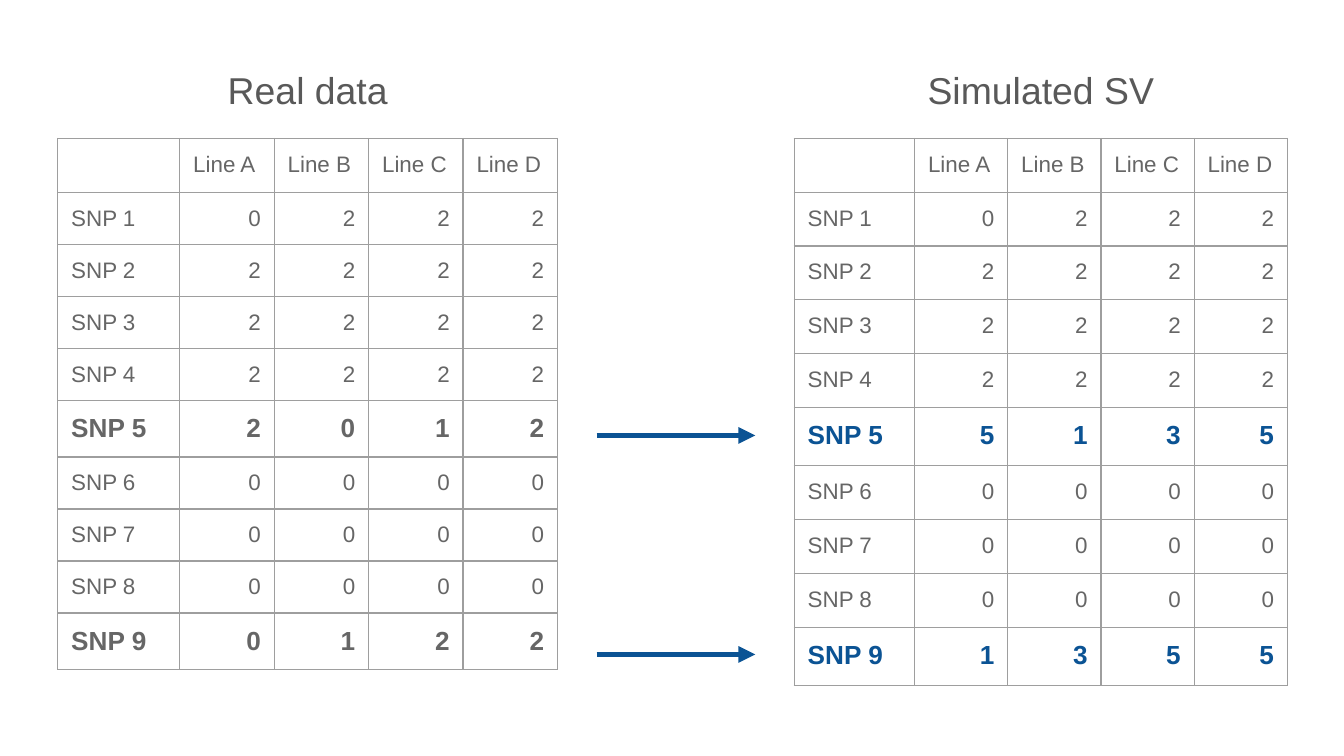
from lxml import etree
from pptx import Presentation, util as u
from pptx.dml.color import RGBColor
from pptx.enum import shapes, text
from pptx.oxml import ns

GREY, BLUE, BORDER, TITLE = "666666", "0B5394", "9E9E9E", "595959"
MARKED_ROWS = (5, 9)
LABEL_SHARE = 0.244  # label column's share of a table's width
TITLE_TOP, TITLE_HEIGHT = 0.23, 0.63
TABLE_TOP, HEAD_HEIGHT, ROW_HEIGHT = 1.03, 0.36, 0.33
FRAME_SIDE = 3.28  # nominal table frame, which the cells outgrow

real = ["0222", "2222", "2222", "2222", "2012", "0000", "0000", "0000", "0122"]
simulated = real[:4] + ["5135"] + real[5:8] + ["1355"]
panels = [
    ("Real data", 0.43, 3.72, real, GREY),
    ("Simulated SV", 5.91, 3.67, simulated, BLUE),
]


def add_run(paragraph, words, size, color, bold=False):
    run = paragraph.add_run()
    run.text = words
    run.font.name = "Arial"
    run.font.size = u.Pt(size)
    run.font.bold = bold
    run.font.color.rgb = RGBColor.from_string(color)


def add_borders(cell):
    properties = cell._tc.get_or_add_tcPr()
    for position, side in enumerate(("lnL", "lnR", "lnT", "lnB")):
        line = etree.Element(ns.qn(f"a:{side}"), w=str(u.Pt(0.75)))
        fill = etree.SubElement(line, ns.qn("a:solidFill"))
        etree.SubElement(fill, ns.qn("a:srgbClr"), val=BORDER)
        properties.insert(position, line)


prs = Presentation()
prs.slide_width = u.Inches(10)
prs.slide_height = prs.slide_width * 9 // 16
slide = prs.slides.add_slide(prs.slide_layouts[6])

# Genotype tables with their titles
for title, left, width, genotypes, mark_color in panels:
    rows = [["", "Line A", "Line B", "Line C", "Line D"]]
    rows += [[f"SNP {number}", *calls] for number, calls in enumerate(genotypes, 1)]
    table_frame = slide.shapes.add_table(
        len(rows), len(rows[0]), u.Inches(left), u.Inches(TABLE_TOP),
        u.Inches(FRAME_SIDE), u.Inches(FRAME_SIDE))
    table = table_frame.table
    table.first_row = table.horz_banding = False

    for c, column in enumerate(table.columns):
        share = (1 - LABEL_SHARE) / (len(rows[0]) - 1) if c else LABEL_SHARE
        column.width = u.Inches(width * share)

    for r, row in enumerate(rows):
        table.rows[r].height = u.Inches(HEAD_HEIGHT if r < 2 else ROW_HEIGHT)
        marked = r in MARKED_ROWS
        for c, value in enumerate(row):
            cell = table.cell(r, c)
            cell.fill.background()
            cell.margin_left = cell.margin_right = u.Inches(0.1)
            cell.margin_top = cell.margin_bottom = u.Inches(0.1)
            add_borders(cell)
            paragraph = cell.text_frame.paragraphs[0]
            if r and c:
                paragraph.alignment = text.PP_ALIGN.RIGHT
            if value:
                add_run(paragraph, value, 14 if marked else 12,
                        mark_color if marked else GREY, marked)
            else:
                # Keeps the empty corner from stretching the header row
                paragraph._p.get_or_add_endParaRPr().set("sz", "1200")
    table_frame.width = table_frame.height = u.Inches(FRAME_SIDE)

    frame = slide.shapes.add_textbox(
        u.Inches(left), u.Inches(TITLE_TOP), u.Inches(width), u.Inches(TITLE_HEIGHT)).text_frame
    frame.word_wrap = True
    frame.margin_left = frame.margin_right = u.Inches(0.1)
    frame.margin_top = frame.margin_bottom = u.Inches(0.1)
    heading = frame.paragraphs[0]
    heading.alignment = text.PP_ALIGN.CENTER
    heading.line_spacing = 1.5
    add_run(heading, title, 20, TITLE)

# Arrows from the marked real rows to the simulated ones
for y in (3.24, 4.87):
    arrow = slide.shapes.add_connector(
        shapes.MSO_CONNECTOR.STRAIGHT, u.Inches(4.44), u.Inches(y), u.Inches(5.62), u.Inches(y))
    arrow.line.color.rgb = RGBColor.from_string(BLUE)
    arrow.line.width = u.Pt(3)
    etree.SubElement(arrow.line._get_or_add_ln(), ns.qn("a:tailEnd"), type="triangle")
    etree.SubElement(arrow._element.spPr, ns.qn("a:effectLst"))

prs.save("out.pptx")
